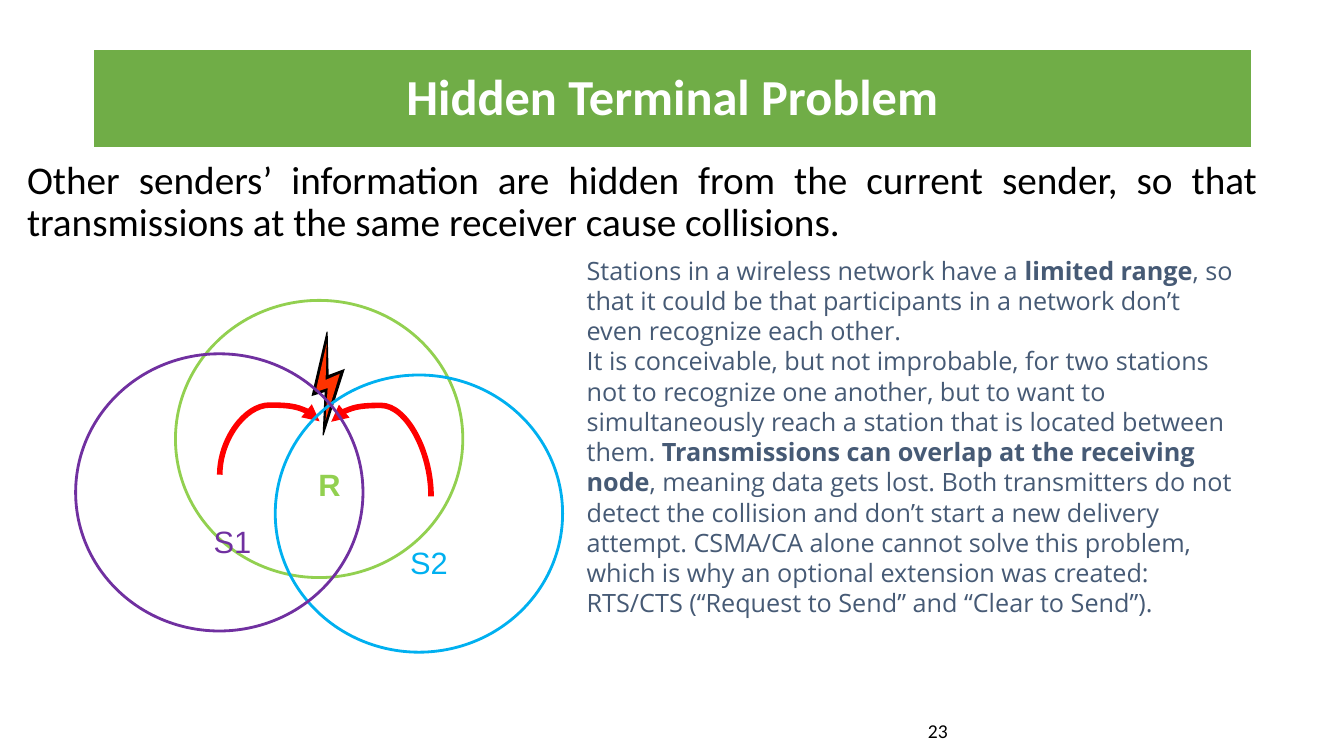
from lxml.etree import SubElement
from pptx import Presentation
from pptx.dml.color import RGBColor
from pptx.enum.shapes import MSO_CONNECTOR, MSO_SHAPE
from pptx.enum.text import MSO_ANCHOR, PP_ALIGN
from pptx.oxml.ns import qn
from pptx.util import Emu, Pt

PX = 9144
RANGE_W, RANGE_H = 285, 275
BOLT_EDGE = [(326, 372), (325, 329), (324, 329), (309, 393), (322, 389),
             (320, 432), (321, 432), (342, 366)]
BOLT_CORE = [(324, 341), (313, 389), (325, 385), (323, 417), (337, 371), (323, 377)]
EXPLANATION = [
    [("Stations in a wireless network have a ", False),
     ("limited range", True),
     (", so that it could be that participants in a network don’t even recognize "
      "each other.", False)],
    [("It is conceivable, but not improbable, for two stations not to recognize one "
      "another, but to want to simultaneously reach a station that is located between "
      "them. ", False),
     ("Transmissions can overlap at the receiving node", True),
     (", meaning data gets lost. Both transmitters do not detect the collision and "
      "don’t start a new delivery attempt. CSMA/CA alone cannot solve this problem, "
      "which is why an optional extension was created: RTS/CTS (“Request to Send” and "
      "“Clear to Send”).", False)],
]


def px(*lengths):
    return [Emu(length * PX) for length in lengths]


def paint(color_format, color):
    color_format.rgb = RGBColor.from_string(color)


def fill_with(shape, color):
    shape.fill.solid()
    paint(shape.fill.fore_color, color)


def style(paragraph, font_name, size, color, bold=None, align=None, spacing=None):
    paragraph.font.name = font_name
    paragraph.font.size = Pt(size)
    paragraph.font.bold = bold
    paint(paragraph.font.color, color)
    paragraph.alignment = align
    paragraph.line_spacing = spacing


def add_label(shapes, box, text, *look, wrap=True, **options):
    label = shapes.add_textbox(*px(*box)).text_frame
    label.word_wrap = wrap
    label.text = text
    style(label.paragraphs[0], *look, **options)


def add_banner(shapes, box, text):
    banner = shapes.add_shape(MSO_SHAPE.RECTANGLE, *px(*box))
    banner.shadow.inherit = False
    fill_with(banner, "70AD47")
    paint(banner.line.color, "FFFFFF")
    banner.line.width = Pt(1.5)
    banner.text_frame.text = text
    banner.text_frame.vertical_anchor = MSO_ANCHOR.MIDDLE
    style(banner.text_frame.paragraphs[0], "Calibri", 36, "FFFFFF", True,
          PP_ALIGN.CENTER, 0.9)


def add_station(shapes, left, top, name, name_box, color, bold=None):
    station = shapes.add_group_shape().shapes
    radio_range = station.add_shape(MSO_SHAPE.OVAL, *px(left, top, RANGE_W, RANGE_H))
    radio_range.shadow.inherit = False
    radio_range.fill.background()
    paint(radio_range.line.color, color)
    radio_range.line.width = Pt(2)
    add_label(station, name_box, name, "Arial", 22, color, bold, wrap=False)


def add_bolt(shapes):
    bolt = shapes.add_group_shape().shapes
    for points, color in ((BOLT_EDGE, "000000"), (BOLT_CORE, "FF3300")):
        builder = bolt.build_freeform(*points[0], scale=PX)
        builder.add_line_segments(points[1:], close=True)
        part = builder.convert_to_shape()
        part.shadow.inherit = False
        fill_with(part, color)
        part.line.fill.background()


def add_transmission(shapes, ends, turn, bend):
    arrow = shapes.add_connector(MSO_CONNECTOR.CURVE, *px(*ends))
    paint(arrow.line.color, "FF0000")
    arrow.line.width = Pt(4)
    properties = arrow._element.spPr
    properties.find(qn("a:xfrm")).set("rot", str(turn * 60000))
    guides = properties.find(qn("a:prstGeom")).get_or_add_avLst()
    SubElement(guides, qn("a:gd"), name="adj1", fmla=f"val {bend}")
    SubElement(properties.find(qn("a:ln")), qn("a:headEnd"), type="triangle")
    SubElement(properties, qn("a:effectLst"))


def add_explanation(shapes, box):
    explanation = shapes.add_textbox(*px(*box)).text_frame
    explanation.word_wrap = True
    for index, parts in enumerate(EXPLANATION):
        paragraph = explanation.add_paragraph() if index else explanation.paragraphs[0]
        style(paragraph, "Open Sans", 18, "465A75")
        for text, bold in parts:
            run = paragraph.add_run()
            run.text = text
            run.font.bold = bold


def main():
    deck = Presentation()
    deck.slide_width, deck.slide_height = px(1333, 750)
    shapes = deck.slides.add_slide(deck.slide_layouts[6]).shapes

    add_banner(shapes, (92, 49, 1150, 98), "Hidden Terminal Problem")
    add_station(shapes, 174, 298, "R", (306, 457, 42, 47), "92D050", True)
    add_bolt(shapes)
    add_transmission(shapes, (294, 494, 241, 395), 270, -30400)
    add_transmission(shapes, (341, 505, 415, 406), 90, -22000)
    add_station(shapes, 273, 372, "S2", (397, 535, 58, 47), "00B0F0")
    add_station(shapes, 75, 351, "S1", (202, 514, 58, 47), "7030A0")
    add_label(shapes, (17, 154, 1240, 95),
              "Other senders’ information are hidden from the current sender, so that "
              "transmissions at the same receiver cause collisions.",
              "Calibri", 28, "000000", align=PP_ALIGN.JUSTIFY, spacing=0.9)
    add_label(shapes, (717, 708, 233, 27), "23", "Calibri", 14, "000000",
              align=PP_ALIGN.RIGHT)
    add_explanation(shapes, (572, 248, 667, 434))

    deck.save("out.pptx")


if __name__ == "__main__":
    main()
